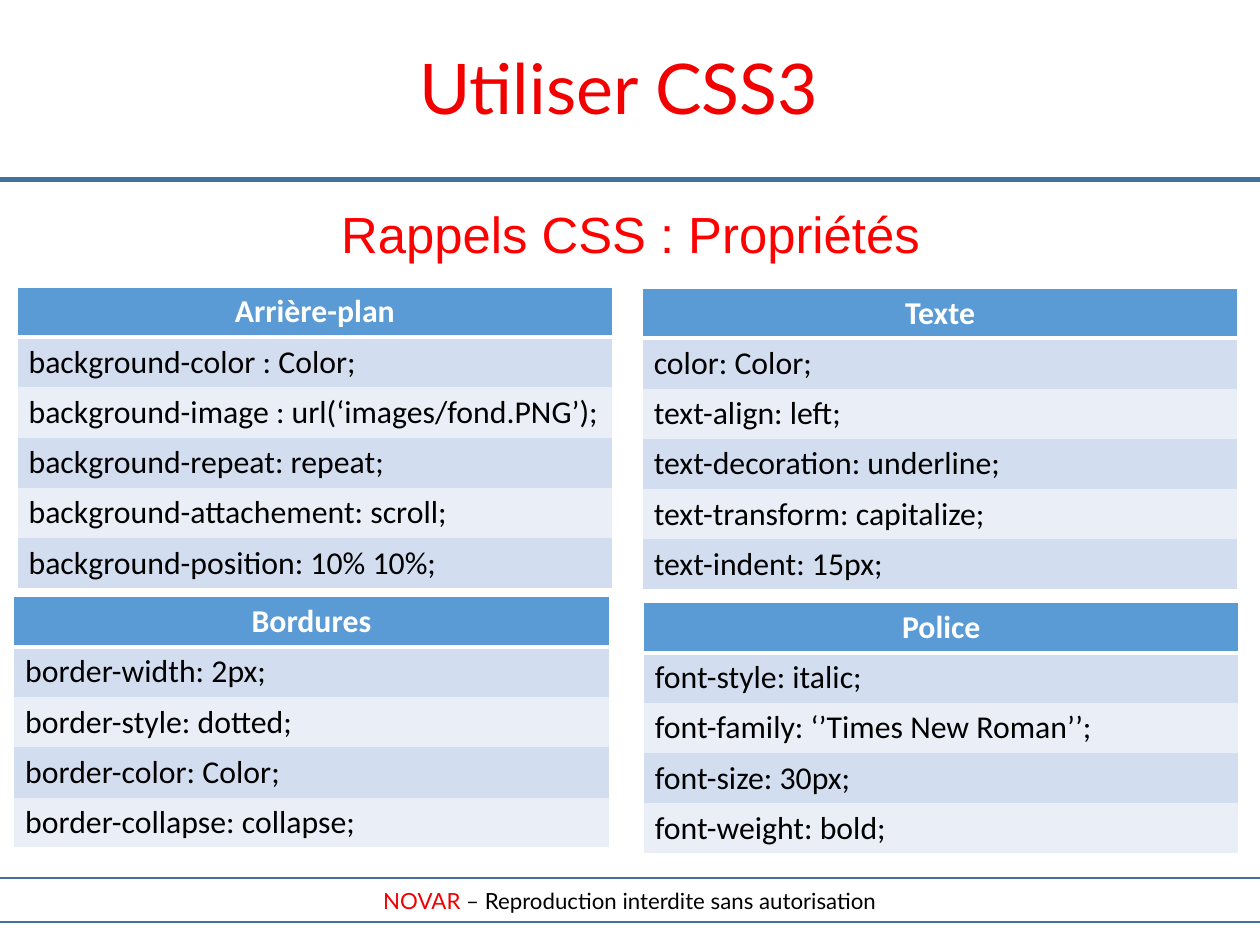
from dataclasses import dataclass

from lxml import etree
from pptx import Presentation
from pptx import util as u
from pptx.dml.color import RGBColor
from pptx.enum import shapes, text
from pptx.oxml import ns


@dataclass(frozen=True)
class Theme:
    """Colours, fonts and sizes of the slide."""
    title_red: str = "F20000"
    subtitle_red: str = "FF0000"
    rule: str = "41719C"
    header: str = "5B9BD5"
    bands: tuple = ("D2DEEF", "EAEFF7")
    black: str = "000000"
    white: str = "FFFFFF"
    heading_font: str = "Lato"
    subtitle_font: str = "Arial"
    table_font: str = "Calibri"
    title_size: int = 44
    subtitle_size: int = 32
    table_size: int = 20
    footer_size: int = 14


THEME = Theme()
CM_PER_INCH = 2.54
WIDTH, HEIGHT = 28 / CM_PER_INCH, 21 / CM_PER_INCH
TABLE_WIDTH, ROW_HEIGHT = 5.21, 0.44
PLAIN_TABLE_STYLE = "{2D5ABB26-0587-4C30-8999-92F81FD0307C}"
PROPERTY_TABLES = [
    (0.15, 2.51, ["Arrière-plan", "background-color : Color;",
                  "background-image : url(‘images/fond.PNG’);",
                  "background-repeat: repeat;",
                  "background-attachement: scroll;",
                  "background-position: 10% 10%;"]),
    (5.62, 2.52, ["Texte", "color: Color;", "text-align: left;",
                  "text-decoration: underline;",
                  "text-transform: capitalize;", "text-indent: 15px;"]),
    (5.63, 5.27, ["Police", "font-style: italic;",
                  "font-family: ‘’Times New Roman’’;",
                  "font-size: 30px;", "font-weight: bold;"]),
    (0.12, 5.22, ["Bordures", "border-width: 2px;", "border-style: dotted;",
                  "border-color: Color;", "border-collapse: collapse;"]),
]


def inches(box):
    """Turn a box given in inches into lengths."""
    return [u.Inches(value) for value in box]


def format_run(run, font, size, color, bold=False):
    """Set the font, size, colour and weight of a run."""
    run.font.name = font
    run.font.size = u.Pt(size)
    run.font.color.rgb = RGBColor.from_string(color)
    run.font.bold = bold


def set_margins(text_frame, horizontal, vertical):
    """Set the inner margins of a text frame in inches."""
    text_frame.margin_left = text_frame.margin_right = u.Inches(horizontal)
    text_frame.margin_top = text_frame.margin_bottom = u.Inches(vertical)


def add_heading(slide, box, wording, font, size, color, margins=(0, 0)):
    """Add a centred one-line heading and return its paragraph."""
    text_frame = slide.shapes.add_textbox(*inches(box)).text_frame
    text_frame.word_wrap = True
    set_margins(text_frame, *margins)
    text_frame.text = wording
    paragraph = text_frame.paragraphs[0]
    paragraph.alignment = text.PP_ALIGN.CENTER
    format_run(paragraph.runs[0], font, size, color)
    return paragraph


def add_rule(slide, top):
    """Draw the full-width rule below the title."""
    rule = slide.shapes.add_connector(
        shapes.MSO_CONNECTOR.STRAIGHT, *inches((0, top, WIDTH, top)))
    rule.line.color.rgb = RGBColor.from_string(THEME.rule)
    rule.line.width = u.Pt(2.83)
    etree.SubElement(rule._element.spPr, ns.qn("a:effectLst"))


def add_footer(slide, box):
    """Add the outlined footer band with its two-coloured notice."""
    footer = slide.shapes.add_shape(shapes.MSO_SHAPE.RECTANGLE, *inches(box))
    footer.shadow.inherit = False
    footer.fill.background()
    footer.line.color.rgb = RGBColor.from_string(THEME.rule)
    footer.line.width = u.Pt(1.42)
    text_frame = footer.text_frame
    text_frame.vertical_anchor = text.MSO_ANCHOR.MIDDLE
    set_margins(text_frame, 0.01, 0.01)
    paragraph = text_frame.paragraphs[0]
    paragraph.alignment = text.PP_ALIGN.CENTER
    for wording, color in (
            ("NOVAR", THEME.title_red),
            (" – Reproduction interdite sans autorisation", THEME.black)):
        run = paragraph.add_run()
        run.text = wording
        format_run(run, THEME.heading_font, THEME.footer_size, color)


def set_borders(cell, widths):
    """Give a cell white borders, with a width in points for each side."""
    properties = cell._tc.get_or_add_tcPr()
    for position, (side, width) in enumerate(widths.items()):
        border = etree.Element(ns.qn(f"a:{side}"), w=str(u.Pt(width)))
        fill = etree.SubElement(border, ns.qn("a:solidFill"))
        etree.SubElement(fill, ns.qn("a:srgbClr"), val=THEME.white)
        properties.insert(position, border)


def add_property_table(slide, left, top, entries):
    """Add a one-column table with a header and banded rows."""
    box = (left, top, TABLE_WIDTH, ROW_HEIGHT * len(entries))
    table = slide.shapes.add_table(len(entries), 1, *inches(box)).table
    table._tbl.tblPr.find(ns.qn("a:tableStyleId")).text = PLAIN_TABLE_STYLE
    for index, entry in enumerate(entries):
        is_header = index == 0
        table.rows[index].height = u.Inches(ROW_HEIGHT)
        cell = table.cell(index, 0)
        cell.text_frame.text = entry
        cell.fill.solid()
        cell.fill.fore_color.rgb = RGBColor.from_string(
            THEME.header if is_header else THEME.bands[(index - 1) % 2])
        paragraph = cell.text_frame.paragraphs[0]
        paragraph.alignment = (
            text.PP_ALIGN.CENTER if is_header else text.PP_ALIGN.LEFT)
        format_run(paragraph.runs[0], THEME.table_font, THEME.table_size,
                   THEME.white if is_header else THEME.black, is_header)
        widths = {"lnL": 1, "lnR": 1}
        if is_header:
            widths.update(lnT=1, lnB=3)
        elif index == len(entries) - 1:
            widths["lnB"] = 1
        set_borders(cell, widths)


def main():
    """Build the slide and save it."""
    presentation = Presentation()
    presentation.slide_width = u.Inches(WIDTH)
    presentation.slide_height = u.Inches(HEIGHT)
    slide = presentation.slides.add_slide(presentation.slide_layouts[6])
    add_footer(slide, (-0.2, 7.68, 11.42, 0.39))
    add_rule(slide, 1.57)
    title = add_heading(slide, (-0.12, 0.34, 11.07, 0.82), "Utiliser CSS3",
                        THEME.heading_font, THEME.title_size,
                        THEME.title_red, (0.1, 0.05))
    title.space_before = u.Pt(17.3)
    subtitle = add_heading(slide, (0.39, 1.77, 10.26, 5.62),
                           "Rappels CSS : Propriétés", THEME.subtitle_font,
                           THEME.subtitle_size, THEME.subtitle_red)
    subtitle.space_after = u.Pt(14.3)
    for left, top, entries in PROPERTY_TABLES:
        add_property_table(slide, left, top, entries)
    presentation.save("out.pptx")


if __name__ == "__main__":
    main()
